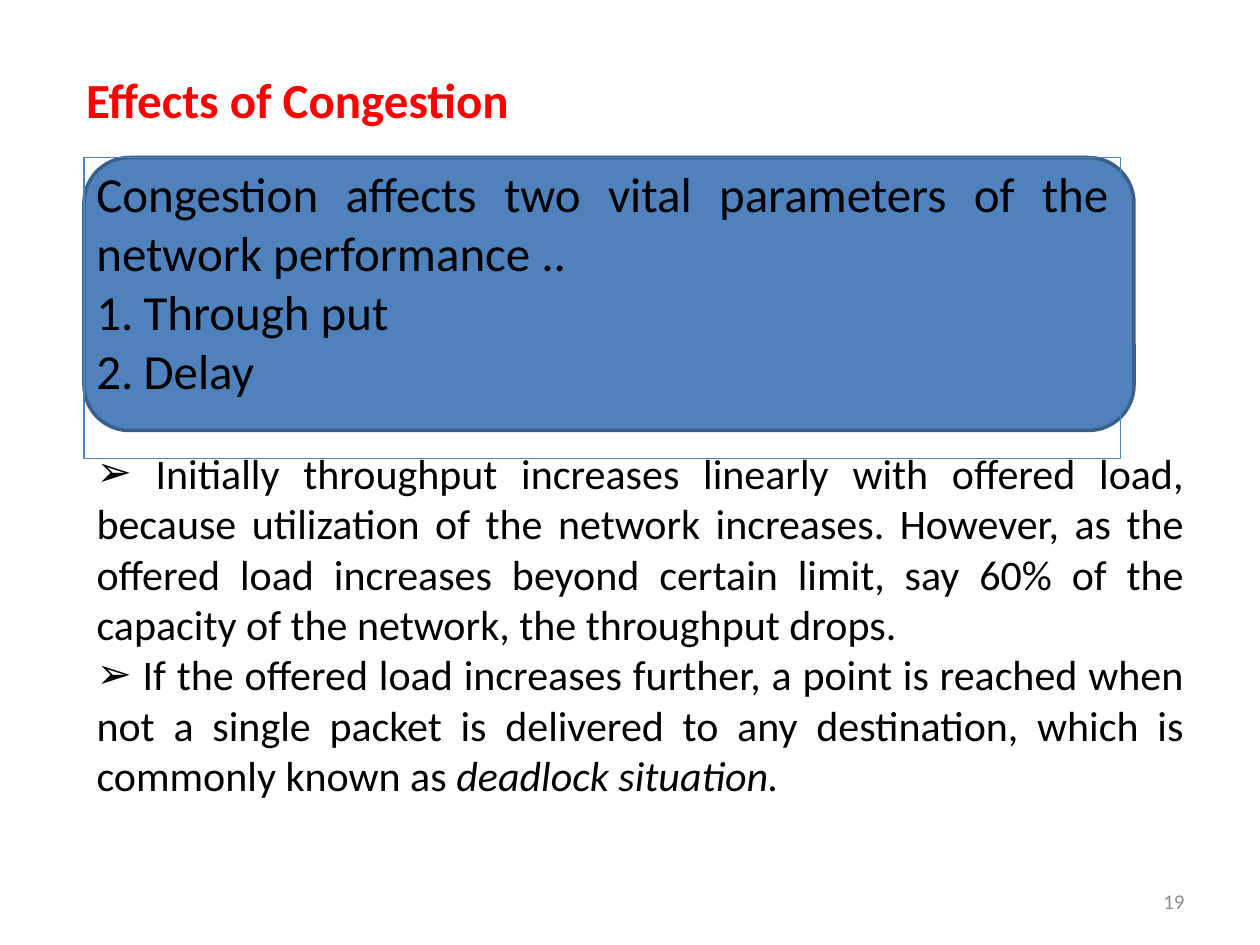
from lxml.etree import SubElement
from pptx import Presentation
from pptx.dml.color import RGBColor
from pptx.enum.shapes import MSO_SHAPE
from pptx.enum.text import MSO_ANCHOR, MSO_AUTO_SIZE, PP_ALIGN
from pptx.oxml.ns import qn
from pptx.util import Pt

RED = RGBColor(0xFF, 0x00, 0x00)
BLACK = RGBColor(0x00, 0x00, 0x00)
GRAY = RGBColor(0x8C, 0x8C, 0x8C)
BLUE = RGBColor(0x4F, 0x81, 0xBD)
DARK_BLUE = RGBColor(0x3A, 0x5F, 0x8C)

ARROW = ("buChar", {"char": "➢"})
NUMBER = ("buAutoNum", {"type": "arabicPeriod"})
NO_BULLET = ("buNone", {})


def set_attributes(target, values):
    """Set every attribute named in a dict on the target."""
    for name, value in values.items():
        setattr(target, name, value)


def place(shape, left, top, width, height):
    """Move and size a shape, in points."""
    set_attributes(shape, {"left": Pt(left), "top": Pt(top),
                           "width": Pt(width), "height": Pt(height)})


def set_bullet(paragraph, bullet, indent=0):
    """Give a paragraph its bullet and hanging indent."""
    properties = paragraph._p.get_or_add_pPr()
    properties.set("marL", str(Pt(indent)))
    properties.set("indent", str(Pt(-indent)))
    tag, attributes = bullet
    SubElement(properties, qn("a:" + tag), attributes)


def write(shape, paragraphs, size, color, bold=False,
          alignment=PP_ALIGN.JUSTIFY, anchor=MSO_ANCHOR.TOP):
    """Fill a shape with (bullet, indent, runs); a run is (text, italic)."""
    frame = shape.text_frame
    set_attributes(frame, {"word_wrap": True, "vertical_anchor": anchor,
                           "auto_size": MSO_AUTO_SIZE.NONE})
    for index, (bullet, indent, runs) in enumerate(paragraphs):
        paragraph = frame.add_paragraph() if index else frame.paragraphs[0]
        set_attributes(paragraph, {"alignment": alignment,
                                   "space_before": Pt(0)})
        set_bullet(paragraph, bullet, indent)
        for text, italic in runs:
            run = paragraph.add_run()
            run.text = text
            set_attributes(run.font, {"name": "Calibri", "size": Pt(size),
                                      "bold": bold, "italic": italic})
            run.font.color.rgb = color


def add_panel(slide, kind, box, line_color, line_width, fill=None):
    """Add an outlined preset shape, filled or clear."""
    shape = slide.shapes.add_shape(kind, *map(Pt, box))
    shape.shadow.inherit = False
    if fill is None:
        shape.fill.background()
    else:
        shape.fill.solid()
        shape.fill.fore_color.rgb = fill
    shape.line.color.rgb = line_color
    shape.line.width = Pt(line_width)
    return shape


def main():
    """Build the slide and save it."""
    presentation = Presentation()
    set_attributes(presentation, {"slide_width": Pt(720),
                                  "slide_height": Pt(540)})
    slide = presentation.slides.add_slide(presentation.slide_layouts[1])

    title = slide.shapes.title
    place(title, 42, 36, 342, 41)
    write(title, [(NO_BULLET, 0, [("Effects of Congestion", False)])],
          28, RED, bold=True)

    body = slide.placeholders[1]
    place(body, 48, 252, 636, 240)
    write(body, [
        (ARROW, 0, [(" Initially throughput increases linearly with offered "
                     "load, because utilization of the network increases. "
                     "However, as the offered load increases beyond certain "
                     "limit, say 60% of the capacity of the network, the "
                     "throughput drops.", False)]),
        (ARROW, 0, [(" If the offered load increases further, a point is "
                     "reached when not a single packet is delivered to any "
                     "destination, which is commonly known as ", False),
                    ("deadlock situation.", True)]),
    ], 24, BLACK)

    add_panel(slide, MSO_SHAPE.ROUNDED_RECTANGLE, (48, 90, 600, 156),
              DARK_BLUE, 2, BLUE)
    parameters = add_panel(slide, MSO_SHAPE.RECTANGLE,
                           (48, 90, 592.5, 172), BLUE, 0.75)
    write(parameters, [
        (NO_BULLET, 0, [("Congestion affects two vital parameters of the "
                         "network performance ..", False)]),
        (NUMBER, 27, [("Through put", False)]),
        (NUMBER, 27, [("Delay", False)]),
    ], 28, BLACK)

    page_number = slide.shapes.add_textbox(Pt(516), Pt(500.5),
                                           Pt(168), Pt(28.75))
    write(page_number, [(NO_BULLET, 0, [("19", False)])], 12, GRAY,
          alignment=PP_ALIGN.RIGHT, anchor=MSO_ANCHOR.MIDDLE)

    presentation.save("out.pptx")


main()
